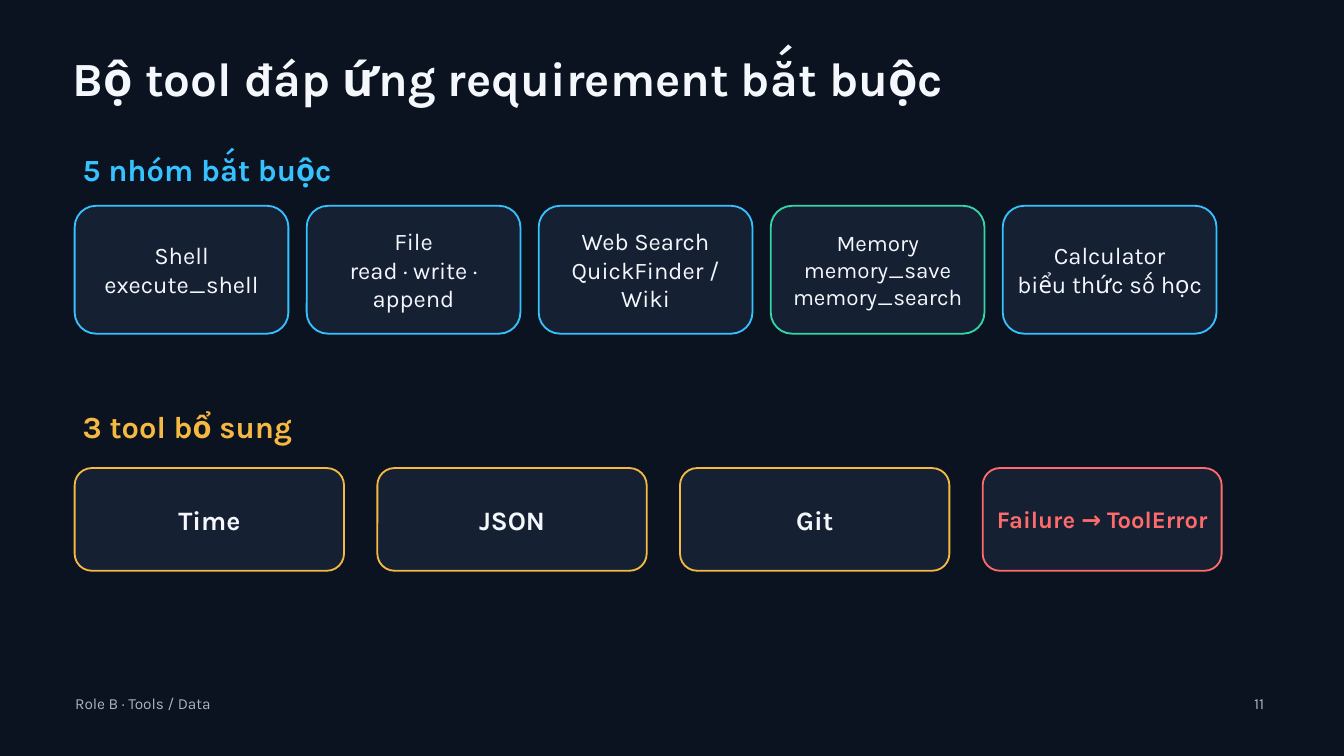
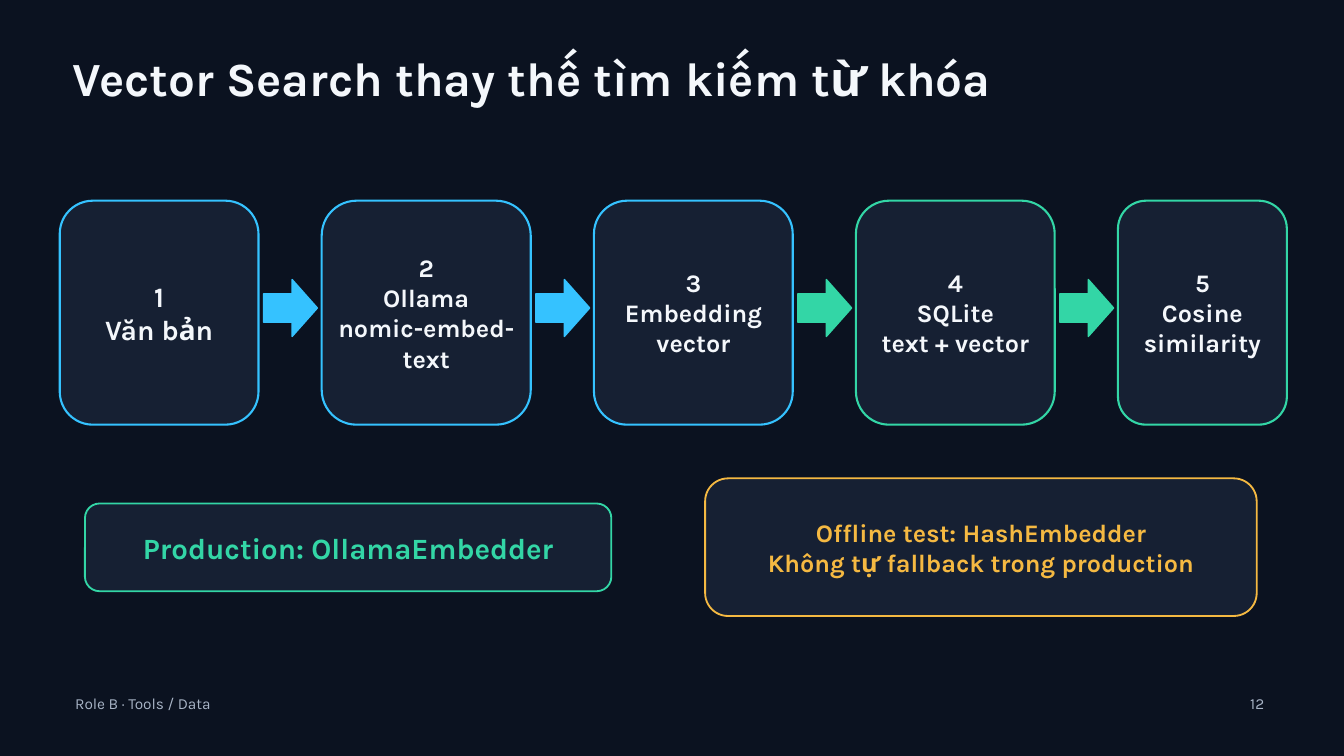
from dataclasses import dataclass
from typing import Any

from pptx import Presentation
from pptx.dml.color import RGBColor
from pptx.enum.shapes import MSO_SHAPE
from pptx.enum.text import MSO_ANCHOR, MSO_AUTO_SIZE, PP_ALIGN
from pptx.util import Pt

BACKGROUND = "0B1220"
PANEL = "162033"
WHITE = "F4F7FB"
MUTED = "A9B5C7"
BLUE = "35C2FF"
GREEN = "33D6A6"
AMBER = "F5B942"
RED = "FF6B6B"


def color(value):
    return RGBColor.from_string(value)


def set_attributes(target, values):
    for name, value in values.items():
        setattr(target, name, value)


@dataclass
class Deck:
    presentation: Any
    font: str = "Karla"
    line_height: float = 1.2
    slide: Any = None

    def add_slide(self, title, number):
        self.slide = self.presentation.slides.add_slide(self.presentation.slide_layouts[5])
        placeholder = self.slide.shapes.title
        set_attributes(placeholder, dict(left=Pt(78), top=Pt(52), width=Pt(1261), height=Pt(75)))
        self.fill_text(placeholder, title, 51, WHITE, True)
        self.text("Role B · Tools / Data", 80.5, 744, 353, 25, 16.5, MUTED)
        self.text(str(number), 1315, 744, 39.5, 25, 16.5, MUTED, align=PP_ALIGN.RIGHT)

    def fill_text(self, shape, text, size, ink, bold, align=PP_ALIGN.LEFT, anchor=MSO_ANCHOR.TOP):
        frame = shape.text_frame
        set_attributes(frame, dict(
            text=text, word_wrap=True, auto_size=MSO_AUTO_SIZE.NONE, vertical_anchor=anchor,
            margin_left=0, margin_right=0, margin_top=0, margin_bottom=0))
        for paragraph in frame.paragraphs:
            set_attributes(paragraph, dict(
                alignment=align, line_spacing=Pt(size * self.line_height),
                space_before=Pt(0), space_after=Pt(0)))
            set_attributes(paragraph.font, dict(name=self.font, size=Pt(size), bold=bold))
            paragraph.font.color.rgb = color(ink)

    def text(self, text, left, top, width, height, size, ink, bold=False, align=PP_ALIGN.LEFT):
        box = self.slide.shapes.add_textbox(Pt(left), Pt(top), Pt(width), Pt(height))
        self.fill_text(box, text, size, ink, bold, align)

    def heading(self, text, top, ink):
        self.text(text, 88.5, top, 310, 41, 33, ink, True)

    def shape(self, kind, left, top, width, height, fill, outline, weight):
        shape = self.slide.shapes.add_shape(kind, Pt(left), Pt(top), Pt(width), Pt(height))
        shape.shadow.inherit = False
        shape.fill.solid()
        shape.fill.fore_color.rgb = color(fill)
        shape.line.color.rgb = color(outline)
        shape.line.width = Pt(weight)
        return shape

    def card(self, text, left, top, width, height, outline, size, ink=WHITE, bold=True, weight=1.95):
        shape = self.shape(MSO_SHAPE.ROUNDED_RECTANGLE, left, top, width, height,
                           PANEL, outline, weight)
        self.fill_text(shape, text, size, ink, bold, PP_ALIGN.CENTER, MSO_ANCHOR.MIDDLE)

    def arrow(self, left, top, fill):
        arrow = self.shape(MSO_SHAPE.RIGHT_ARROW, left, top, 57.6, 61, fill, fill, 1.5)
        arrow.adjustments[1] = 0.47


def build_tools(deck):
    deck.add_slide("Bộ tool đáp ứng requirement bắt buộc", 11)
    deck.heading("5 nhóm bắt buộc", 161.5, BLUE)
    required_tools = [
        ("Shell\nexecute_shell", BLUE, 25.5),
        ("File\nread · write · append", BLUE, 25.5),
        ("Web Search\nQuickFinder / Wiki", BLUE, 25.5),
        ("Memory\nmemory_save\nmemory_search", GREEN, 24),
        ("Calculator\nbiểu thức số học", BLUE, 25.5),
    ]
    for index, (text, outline, size) in enumerate(required_tools):
        deck.card(text, 80 + 248.6 * index, 220.5, 229, 137, outline, size, bold=False)

    deck.heading("3 tool bổ sung", 437, AMBER)
    extra_tools = [
        ("Time", 288.6, AMBER, 28.5, WHITE),
        ("JSON", 288.6, AMBER, 28.5, WHITE),
        ("Git", 288.6, AMBER, 28.5, WHITE),
        ("Failure → ToolError", 256, RED, 25.5, RED),
    ]
    for index, (text, width, outline, size, ink) in enumerate(extra_tools):
        deck.card(text, 80 + 324.3 * index, 501.5, width, 110, outline, size, ink)


def build_vector_search(deck):
    deck.add_slide("Vector Search thay thế tìm kiếm từ khóa", 12)
    steps = [
        ("1\nVăn bản", 213, BLUE, 30),
        ("2\nOllama\nnomic-embed-text", 224, BLUE, 27),
        ("3\nEmbedding\nvector", 213, BLUE, 27),
        ("4\nSQLite\ntext + vector", 213, GREEN, 27),
        ("5\nCosine\nsimilarity", 181, GREEN, 27),
    ]
    arrow_colors = [BLUE, BLUE, GREEN, GREEN]
    left, gap = 64, 67.7
    for index, (text, width, outline, size) in enumerate(steps):
        deck.card(text, left, 215, width, 240, outline, size, weight=2.25)
        if index < len(arrow_colors):
            deck.arrow(left + width + 5.5, 299.5, arrow_colors[index])
        left += width + gap

    deck.card("Production: OllamaEmbedder", 91, 539.5, 564, 94, GREEN, 31.5, GREEN)
    deck.card("Offline test: HashEmbedder\nKhông tự fallback trong production",
              755.5, 512.5, 591, 147.5, AMBER, 27, AMBER)


def main():
    presentation = Presentation()
    set_attributes(presentation, dict(slide_width=Pt(1440), slide_height=Pt(810)))
    background = presentation.slide_master.background.fill
    background.solid()
    background.fore_color.rgb = color(BACKGROUND)
    deck = Deck(presentation)
    build_tools(deck)
    build_vector_search(deck)
    presentation.save("out.pptx")


if __name__ == "__main__":
    main()
